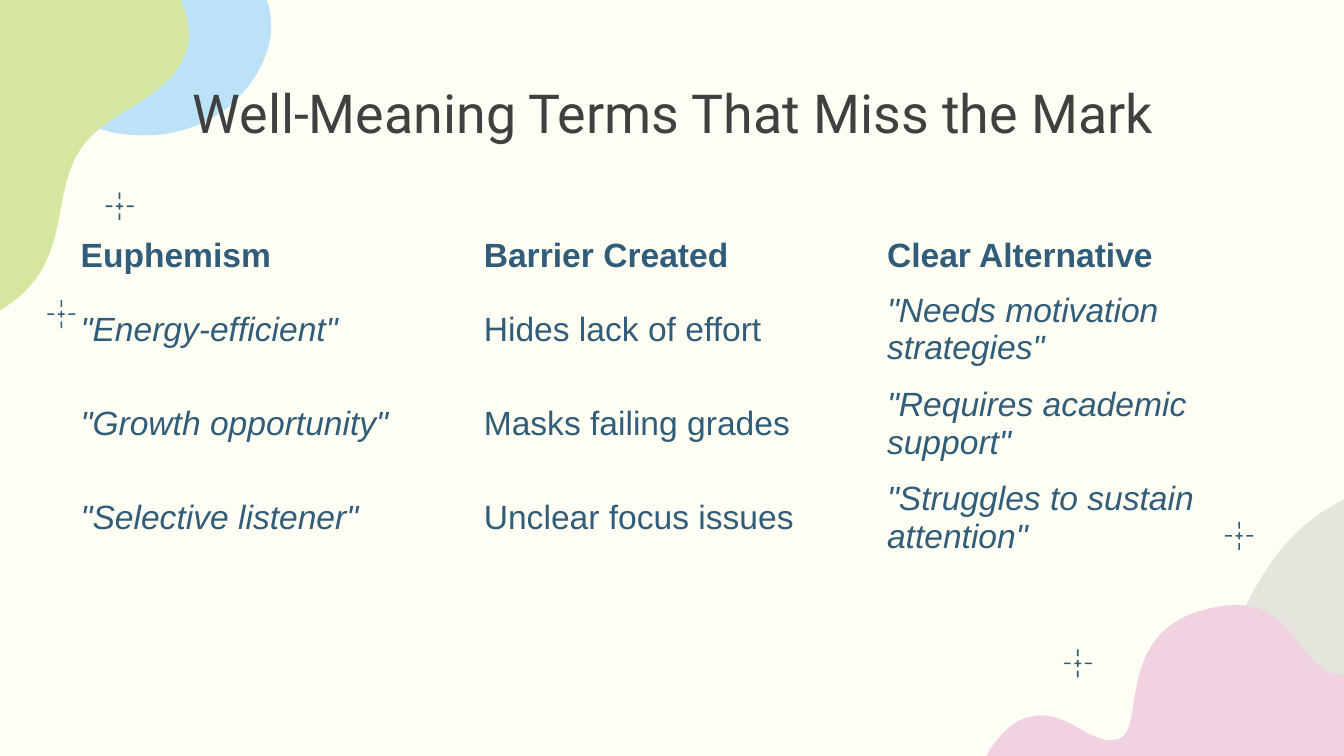
"""Build a slide that sets well-meaning euphemisms beside clear alternatives."""
from pptx import Presentation
from pptx.dml.color import RGBColor
from pptx.enum.shapes import MSO_SHAPE
from pptx.enum.text import MSO_ANCHOR, PP_ALIGN
from pptx.oxml.ns import qn
from pptx.util import Cm, Pt
from lxml.etree import SubElement

COLORS = {
    "background": "FFFEF4", "title": "404040", "text": "325D79",
    "blue": "4EB6FA", "gray": "B5B5B5", "pink": "F0D2E0", "green": "D4E69F",
}
NO_STYLE_NO_GRID = "{2D5ABB26-0587-4C30-8999-92F81FD0307C}"
POINTS_PER_CM = 100 / 2.54

ROWS = [
    ("Euphemism", "Barrier Created", "Clear Alternative"),
    ('"Energy-efficient"', "Hides lack of effort", '"Needs motivation strategies"'),
    ('"Growth opportunity"', "Masks failing grades", '"Requires academic support"'),
    ('"Selective listener"', "Unclear focus issues", '"Struggles to sustain attention"'),
]
SPARKLES = [(23.42, 10.13), (20.37, 12.54), (1.16, 5.94), (2.26, 3.9)]
BLOBS = [
    ("blue", 38, (36, 74), [
        (72, 108, 134, 110, 172, 78), (186, 65, 198, 48, 201, 29),
        (204, 10, 198, -10, 184, -23), (170, -35, 150, -41, 141, -57),
        (134, -70, 137, -87, 130, -101), (119, -120, 90, -122, 71, -111),
        (53, -100, 45, -82, 32, -66), (20, -53, 12, -44, 8, -26),
        (0, 9, 10, 49, 36, 74)]),
    ("gray", 34, (1063, 572), [
        (1090, 537, 1107, 492, 1108, 453), (1110, 413, 1093, 379, 1064, 367),
        (1035, 355, 994, 367, 963, 398), (942, 419, 928, 447, 916, 475),
        (904, 502, 895, 530, 882, 557), (876, 568, 869, 580, 866, 592),
        (861, 612, 866, 631, 877, 642), (888, 653, 903, 657, 920, 657),
        (970, 656, 1023, 625, 1063, 572)]),
    ("pink", 100, (1006, 502), [
        (960, 508, 970, 435, 899, 453), (827, 470, 854, 544, 832, 550),
        (810, 556, 794, 525, 764, 534), (732, 544, 718, 602, 718, 602),
        (718, 602, 758, 646, 790, 640), (821, 634, 821, 599, 843, 594),
        (865, 589, 876, 667, 947, 649), (1018, 632, 976, 572, 1019, 555),
        (1061, 539, 1148, 532, 1139, 498), (1131, 463, 1051, 497, 1006, 502)]),
    ("green", 100, (-178, 57), [
        (-189, 100, -178, 148, -152, 184), (-130, 215, -96, 239, -59, 243),
        (-21, 247, 20, 228, 35, 193), (47, 167, 44, 135, 60, 111),
        (70, 96, 86, 87, 101, 78), (116, 68, 132, 57, 138, 40),
        (146, 18, 134, -8, 116, -23), (97, -38, 73, -44, 50, -48),
        (-17, -57, -103, -57, -150, -1), (-164, 16, -174, 35, -178, 57)]),
]


def rgb(name):
    """Return the named colour."""
    return RGBColor.from_string(COLORS[name])


def paint(s, color, opacity=100):
    """Give a shape a plain fill with no outline or shadow."""
    s.shadow.inherit = False
    s.line.fill.background()
    s.fill.solid()
    s.fill.fore_color.rgb = rgb(color)
    if opacity < 100:
        clr = s.fill._xPr.find(".//" + qn("a:srgbClr"))
        SubElement(clr, qn("a:alpha"), val=str(opacity * 1000))


def curve_segments(s):
    """Turn each three straight segments of a freeform into one Bézier curve."""
    lines = list(s._element.iter(qn("a:lnTo")))
    for i in range(0, len(lines), 3):
        first, *others = lines[i:i + 3]
        first.tag = qn("a:cubicBezTo")
        for line in others:
            first.append(line[0])
            line.getparent().remove(line)


def add_blob(shapes, color, opacity, start, curves):
    """Draw one soft corner blob."""
    def to_cm(x, y):
        return Cm(x / POINTS_PER_CM), Cm(y / POINTS_PER_CM)

    points = [to_cm(*c[i:i + 2]) for c in curves for i in (0, 2, 4)]
    builder = shapes.build_freeform(*to_cm(*start))
    builder.add_line_segments(points, close=True)
    s = builder.convert_to_shape()
    curve_segments(s)
    paint(s, color, opacity)


def add_sparkle(shapes, x, y):
    """Draw a dashed cross centred on a point."""
    length, width, pitch = 0.13, 0.03, 0.2
    for i in (-1, 0, 1):
        for dx, dy, w, h in ((i * pitch, 0, length, width), (0, i * pitch, width, length)):
            s = shapes.add_shape(MSO_SHAPE.RECTANGLE, Cm(x + dx - w / 2),
                                 Cm(y + dy - h / 2), Cm(w), Cm(h))
            paint(s, "text")


def format_text(p, font, size, color, bold=False, italic=False):
    """Format every run of a paragraph."""
    for r in p.runs:
        r.font.name = font
        r.font.size = Pt(size)
        r.font.color.rgb = rgb(color)
        r.font.bold = bold
        r.font.italic = italic


def add_title(shapes, text):
    """Add the centred title."""
    tf = shapes.add_textbox(Cm(2), Cm(1.26), Cm(21.44), Cm(1.57)).text_frame
    tf.word_wrap = True
    tf.margin_left = tf.margin_right = tf.margin_top = tf.margin_bottom = Cm(0.25)
    tf.vertical_anchor = MSO_ANCHOR.TOP
    tf.text = text
    p = tf.paragraphs[0]
    p.alignment = PP_ALIGN.CENTER
    format_text(p, "Roboto", 28.8, "title")


def add_terms_table(shapes, rows):
    """Add the table with a bold header and rows that grow to fit their text."""
    frame = shapes.add_table(len(rows), len(rows[0]), Cm(1.27), Cm(4.32),
                             Cm(22.86), Cm(6.35))
    table = frame.table
    table.first_row = table.horz_banding = False
    table._tbl.tblPr.find(qn("a:tableStyleId")).text = NO_STYLE_NO_GRID
    for i, row in enumerate(rows):
        table.rows[i].height = Cm(0)
        for j, text in enumerate(row):
            cell = table.cell(i, j)
            cell.fill.background()
            cell.vertical_anchor = MSO_ANCHOR.MIDDLE
            cell.text_frame.text = text
            format_text(cell.text_frame.paragraphs[0], "Arial", 18, "text",
                        bold=i == 0, italic=text.startswith('"'))
    frame.height = Cm(6.35)


def main():
    """Build and save the slide."""
    prs = Presentation()
    prs.slide_width, prs.slide_height = Cm(25.4), Cm(14.29)
    slide = prs.slides.add_slide(prs.slide_layouts[6])
    slide.background.fill.solid()
    slide.background.fill.fore_color.rgb = rgb("background")
    for x, y in SPARKLES:
        add_sparkle(slide.shapes, x, y)
    for blob in BLOBS:
        add_blob(slide.shapes, *blob)
    add_title(slide.shapes, "Well-Meaning Terms That Miss the Mark")
    add_terms_table(slide.shapes, ROWS)
    prs.save("out.pptx")


if __name__ == "__main__":
    main()
